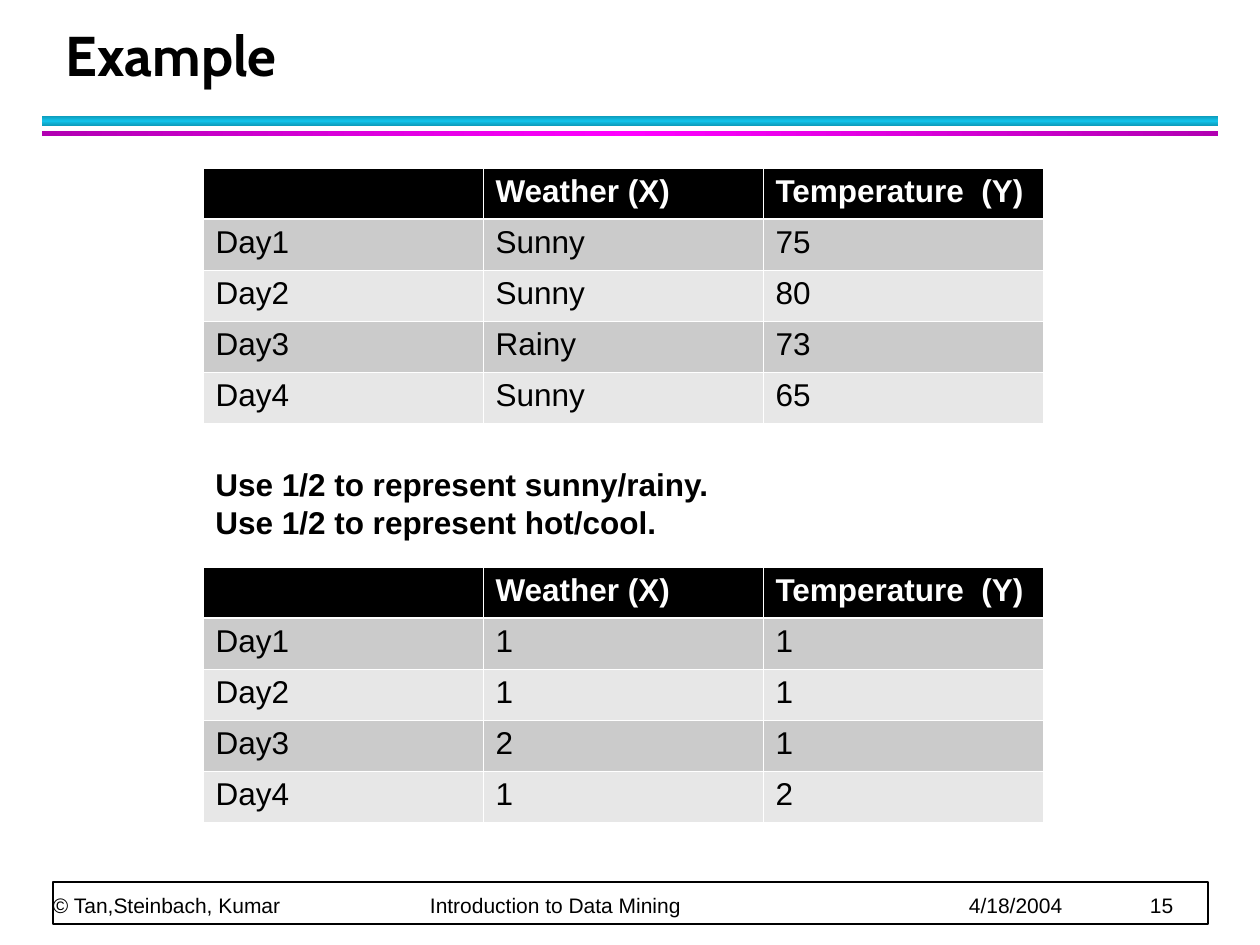
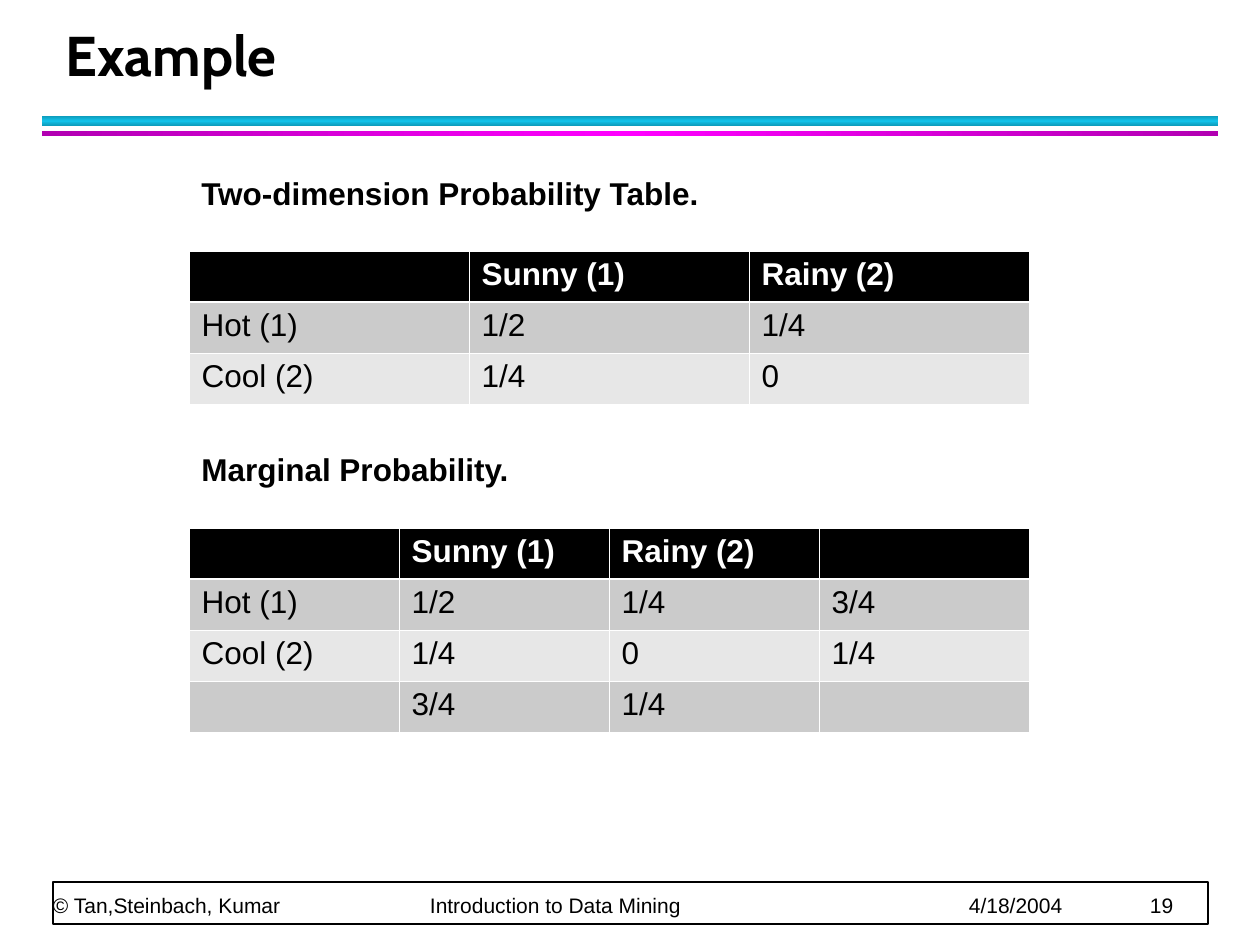
"""Build two example slides with data and probability tables."""
from copy import deepcopy

from lxml.etree import SubElement
from pptx import Presentation
from pptx.dml.color import RGBColor
from pptx.enum.shapes import MSO_SHAPE
from pptx.enum.text import MSO_ANCHOR
from pptx.oxml.ns import qn
from pptx.util import Pt

INK = {
    "black": "000000", "white": "FFFFFF", "dark": "CBCBCB", "light": "E7E7E7",
    "teal": "0E9BBA", "cyan": "12C2E9", "plum": "B200B2", "pink": "FF00FF",
}
HUE = {name: RGBColor.from_string(code) for name, code in INK.items()}
SCALE = 914400 / 126
ROW = 51
WIDE = 840
THIN, THICK = Pt(0.45), Pt(1.5)


def px(*sizes):
    """Turn px lengths into EMU."""
    return [round(size * SCALE) for size in sizes]


def style(frame, size, bold=False, hue="black", font="Arial", lead=None):
    """Format every run of a text frame."""
    for para in frame.paragraphs:
        if lead:
            para.line_spacing = Pt(lead)
        for run in para.runs:
            run.font.name = font
            run.font.size = Pt(size)
            run.font.bold = bold
            run.font.color.rgb = HUE[hue]


BANDS = [
    (116, 10, 90, "teal", "cyan"),
    (131, 5, 0, "plum", "pink"),
]
HEAD = ["", "Weather (X)", "Temperature  (Y)"]
SKY = ["", "Sunny (1)", "Rainy (2)"]
SLIDES = [
    {
        "page": 15,
        "left": 203,
        "notes": [
            (459, 529, 88, "Use 1/2 to represent sunny/rainy.\nUse 1/2 to represent hot/cool."),
        ],
        "tables": [
            (168, [HEAD, ["Day1", "Sunny", "75"], ["Day2", "Sunny", "80"],
                   ["Day3", "Rainy", "73"], ["Day4", "Sunny", "65"]]),
            (567, [HEAD, ["Day1", "1", "1"], ["Day2", "1", "1"],
                   ["Day3", "2", "1"], ["Day4", "1", "2"]]),
        ],
    },
    {
        "page": 19,
        "left": 189,
        "notes": [
            (168, 527, 50, "Two-dimension Probability Table."),
            (444, 335, 50, "Marginal Probability."),
        ],
        "tables": [
            (251, [SKY, ["Hot (1)", "1/2", "1/4"], ["Cool (2)", "1/4", "0"]]),
            (528, [SKY + [""], ["Hot (1)", "1/2", "1/4", "3/4"],
                   ["Cool (2)", "1/4", "0", "1/4"], ["", "3/4", "1/4", ""]]),
        ],
    },
]

deck = Presentation()
deck.slide_width, deck.slide_height = px(1260, 945)

for plan in SLIDES:
    slide = deck.slides.add_slide(deck.slide_layouts[6])
    shapes = slide.shapes

    for top, high, angle, edge, core in BANDS:
        band = shapes.add_shape(MSO_SHAPE.RECTANGLE, *px(42, top, 1176, high))
        band.shadow.inherit = False
        band.line.fill.background()
        band.fill.gradient()
        band.fill.gradient_angle = angle
        stops = band._element.spPr.find(qn("a:gradFill")).find(qn("a:gsLst"))
        stops.insert(1, deepcopy(stops[0]))
        for stop, spot, name in zip(band.fill.gradient_stops, (0, 0.5, 1), (edge, core, edge)):
            stop.position = spot
            stop.color.rgb = HUE[name]

    box = shapes.add_shape(MSO_SHAPE.RECTANGLE, *px(53, 882, 1155, 42))
    box.shadow.inherit = False
    box.fill.solid()
    box.fill.fore_color.rgb = HUE["white"]
    box.line.color.rgb = HUE["black"]
    box.line.width = Pt(1)

    foot = shapes.add_textbox(*px(53, 847, 1153, 71)).text_frame
    foot.word_wrap = True
    foot.vertical_anchor = MSO_ANCHOR.BOTTOM
    foot.margin_left = foot.margin_right = foot.margin_top = foot.margin_bottom = 0
    foot.text = f"© Tan,Steinbach, Kumar\tIntroduction to Data Mining\t4/18/2004\t{plan['page']}"
    style(foot, 12, lead=20)
    tabs = SubElement(foot.paragraphs[0]._p.get_or_add_pPr(), qn("a:tabLst"))
    for spot in px(377, 916, 1097):
        SubElement(tabs, qn("a:tab"), pos=str(spot), algn="l")

    title = shapes.add_textbox(*px(53, 21, 1142, 73)).text_frame
    title.word_wrap = True
    title.vertical_anchor = MSO_ANCHOR.BOTTOM
    title.text = "Example"
    style(title, 32, bold=True, font="Cabin", lead=36)

    for top, wide, high, words in plan["notes"]:
        note = shapes.add_textbox(*px(plan["left"], top, wide, high)).text_frame
        note.word_wrap = False
        note.text = words
        style(note, 18, bold=True)

    for top, rows in plan["tables"]:
        size = len(rows), len(rows[0])
        place = px(plan["left"], top, WIDE, ROW * size[0])
        table = shapes.add_table(*size, *place).table
        table.horz_banding = False
        for i, row in enumerate(rows):
            first = i == 0
            shade = "black" if first else "dark" if i % 2 else "light"
            lines = {
                "a:lnL": THIN,
                "a:lnR": THIN,
                "a:lnT": THICK if i == 1 else THIN,
                "a:lnB": THICK if first else THIN,
            }
            for j, words in enumerate(row):
                cell = table.cell(i, j)
                cell.text_frame.text = words
                style(cell.text_frame, 18, bold=first, hue="white" if first else "black")
                for tag, width in lines.items():
                    line = SubElement(cell._tc.get_or_add_tcPr(), qn(tag), w=str(width))
                    paint = SubElement(line, qn("a:solidFill"))
                    SubElement(paint, qn("a:srgbClr"), val=INK["white"])
                cell.fill.solid()
                cell.fill.fore_color.rgb = HUE[shade]

deck.save("out.pptx")
